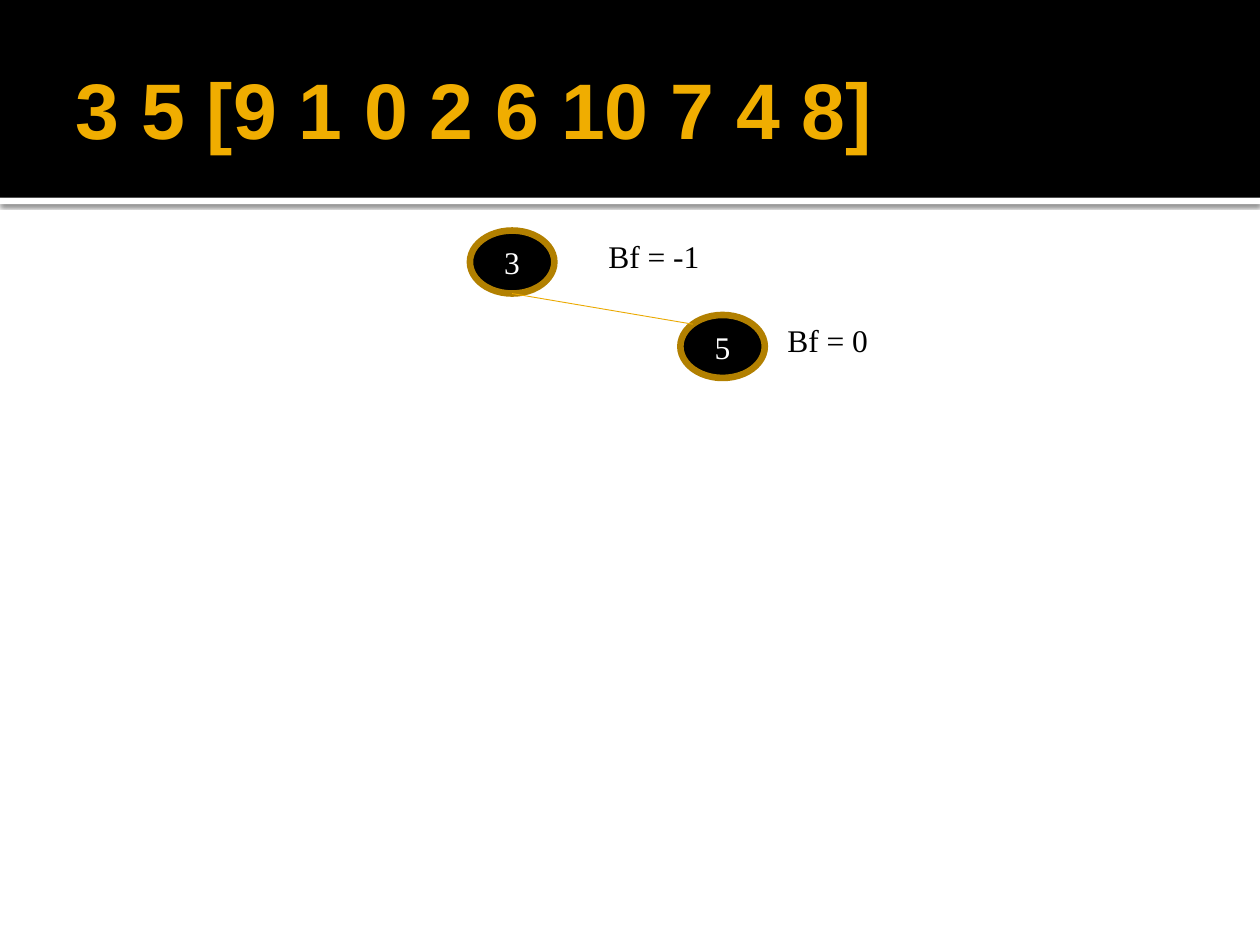
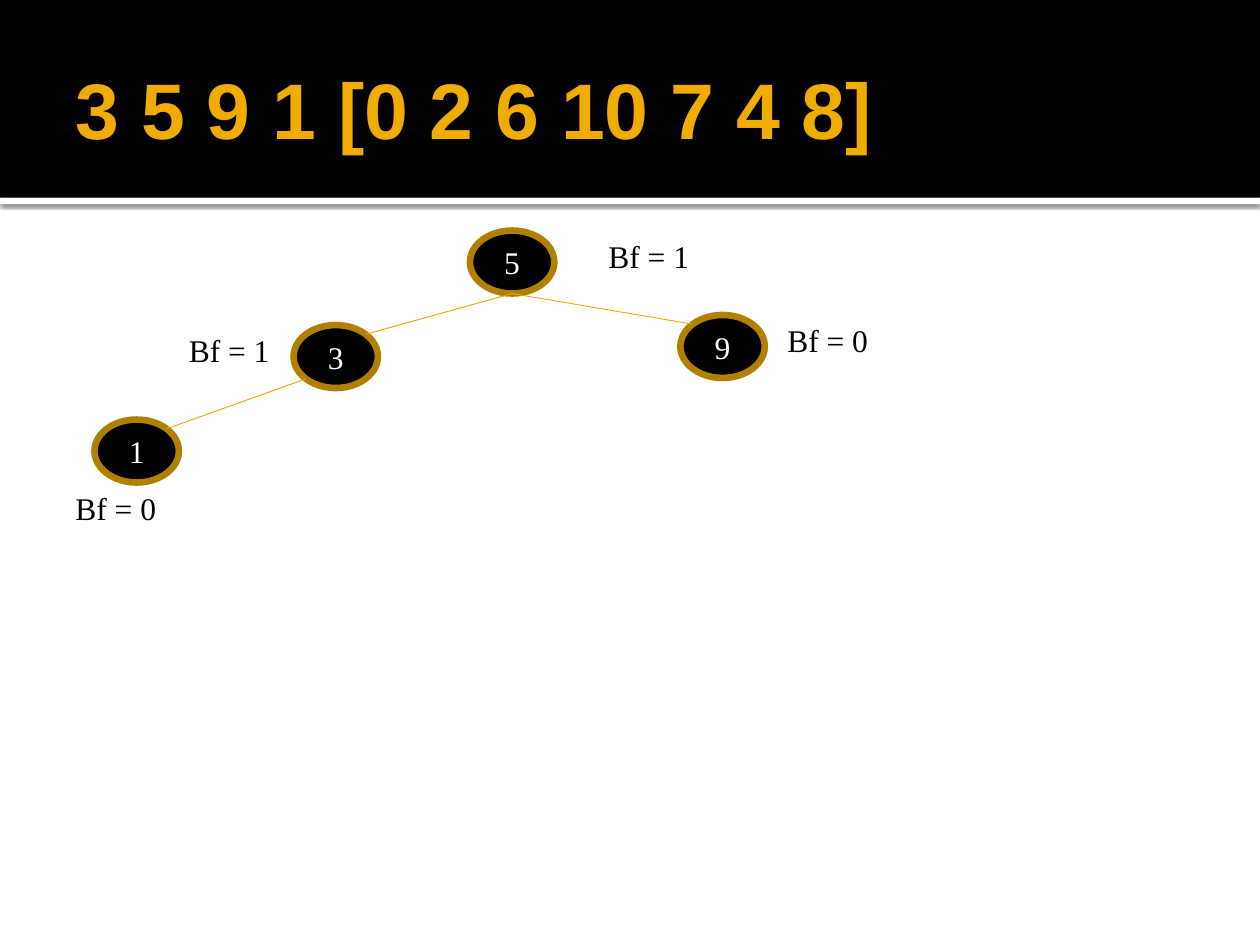
from lxml import etree
from pptx import Presentation
from pptx.dml.color import RGBColor
from pptx.enum import shapes, text
from pptx.oxml import parse_xml
from pptx.oxml.ns import nsdecls, qn
from pptx.util import Inches, Pt

BLACK = RGBColor(0x00, 0x00, 0x00)
WHITE = RGBColor(0xFF, 0xFF, 0xFF)
GOLD = RGBColor(0xF0, 0xAD, 0x00)
NODE_RING = RGBColor(0xB2, 0x80, 0x00)
EDGE = RGBColor(0xEB, 0xA9, 0x00)
TITLE_FONT = "Arial"
TREE_FONT = "Times New Roman"

NODE_W, NODE_H = 0.67, 0.5
DIAGONAL = 0.5 ** 0.5
LABEL_H = 0.4

# Node positions, and the side points of an ellipse as parts of its half size
ROOT, RIGHT, LEFT, LEFT_LEFT = (3.73, 1.83), (5.4, 2.5), (2.33, 2.58), (0.75, 3.33)
BOTTOM = (0, 1)
TOP_LEFT, TOP_RIGHT = (-DIAGONAL, -DIAGONAL), (DIAGONAL, -DIAGONAL)
BOTTOM_LEFT = (-DIAGONAL, DIAGONAL)

ROOT_TO_RIGHT = (ROOT, BOTTOM, RIGHT, TOP_LEFT)
ROOT_TO_LEFT = (ROOT, BOTTOM, LEFT, TOP_RIGHT)
LEFT_TO_LEFT_LEFT = (LEFT, BOTTOM_LEFT, LEFT_LEFT, TOP_RIGHT)

# Title, nodes (key, place), balance factors (text, left, top, width), edges
STEPS = [
    ("3 5 [9 1 0 2 6 10 7 4 8]",
     [("3", ROOT), ("5", RIGHT)],
     [("Bf = -1", 4.73, 1.83, 0.93), ("Bf = 0", 6.15, 2.5, 0.85)],
     [ROOT_TO_RIGHT]),
    ("3 5 9 1 [0 2 6 10 7 4 8]",
     [("5", ROOT), ("9", RIGHT), ("3", LEFT), ("1", LEFT_LEFT)],
     [("Bf = 1", 4.73, 1.83, 0.85), ("Bf = 0", 6.15, 2.5, 0.85),
      ("Bf = 1", 1.4, 2.58, 0.85), ("Bf = 0", 0.5, 3.83, 0.85)],
     [ROOT_TO_RIGHT, ROOT_TO_LEFT, LEFT_TO_LEFT_LEFT]),
]


def add_run(paragraph, words, font, size, color, bold=False):
    run = paragraph.add_run()
    run.text = words
    run.font.name = font
    run.font.size = Pt(size)
    run.font.color.rgb = color
    run.font.bold = bold


def side_point(place, side):
    """Point on a node's outline, in lengths from the slide's corner."""
    return (Inches(place[0] + NODE_W / 2 * (1 + side[0])),
            Inches(place[1] + NODE_H / 2 * (1 + side[1])))


prs = Presentation()
prs.slide_width = Inches(10)
prs.slide_height = Inches(7.5)
layout = prs.slide_layouts[5]

# The title's place is set once, on the layout
layout_title = layout.placeholders[0]
layout_title.left, layout_title.top = Inches(0.5), Inches(0.17)
layout_title.width, layout_title.height = Inches(9), Inches(1.37)
title_frame = layout_title.text_frame
title_frame.vertical_anchor = text.MSO_ANCHOR.MIDDLE
title_frame.margin_left = Inches(0.1)
title_frame.margin_right = title_frame.margin_top = title_frame.margin_bottom = Inches(0.05)

slides = [prs.slides.add_slide(layout) for _ in STEPS]

# The header bands are moved to the back of the layout, which all slides share
for order, (top, height, color) in enumerate([(1.57, 0.05, WHITE), (0, 1.57, BLACK)]):
    band = slides[0].shapes.add_shape(shapes.MSO_SHAPE.RECTANGLE, 0, Inches(top),
                                      prs.slide_width, Inches(height))
    band.fill.solid()
    band.fill.fore_color.rgb = color
    band.line.fill.background()
    band.shadow.inherit = False
    if color == WHITE:
        band.element.spPr.find(qn("a:effectLst")).append(parse_xml(
            f'<a:outerShdw {nsdecls("a")} blurRad="{Pt(2.5)}" dist="{Pt(0.8)}" '
            'dir="5400000" algn="t" rotWithShape="0">'
            '<a:srgbClr val="000000"><a:alpha val="60000"/></a:srgbClr></a:outerShdw>'))
    layout.shapes.element.insert(2 + order, band.element)

for slide, (heading, nodes, factors, edges) in zip(slides, STEPS):
    title = slide.shapes.title.text_frame.paragraphs[0]
    title.alignment = text.PP_ALIGN.LEFT
    add_run(title, heading, TITLE_FONT, 45, GOLD, bold=True)

    for key, (left, top) in nodes:
        node = slide.shapes.add_shape(shapes.MSO_SHAPE.OVAL, Inches(left), Inches(top),
                                      Inches(NODE_W), Inches(NODE_H))
        node.fill.solid()
        node.fill.fore_color.rgb = BLACK
        node.line.color.rgb = NODE_RING
        node.line.width = Pt(3.78)
        node.shadow.inherit = False
        node.text_frame.vertical_anchor = text.MSO_ANCHOR.MIDDLE
        label = node.text_frame.paragraphs[0]
        label.alignment = text.PP_ALIGN.CENTER
        add_run(label, key, TREE_FONT, 18, WHITE)

    for words, left, top, width in factors:
        factor = slide.shapes.add_textbox(Inches(left), Inches(top),
                                          Inches(width), Inches(LABEL_H)).text_frame
        factor.word_wrap = False
        factor.auto_size = text.MSO_AUTO_SIZE.SHAPE_TO_FIT_TEXT
        add_run(factor.paragraphs[0], words, TREE_FONT, 18, BLACK)

    for parent, parent_side, child, child_side in edges:
        edge = slide.shapes.add_connector(shapes.MSO_CONNECTOR.STRAIGHT,
                                          *side_point(parent, parent_side),
                                          *side_point(child, child_side))
        edge.line.color.rgb = EDGE
        edge.line.width = Pt(0.5)
        etree.SubElement(edge.element.spPr, qn("a:effectLst"))

prs.save("out.pptx")
